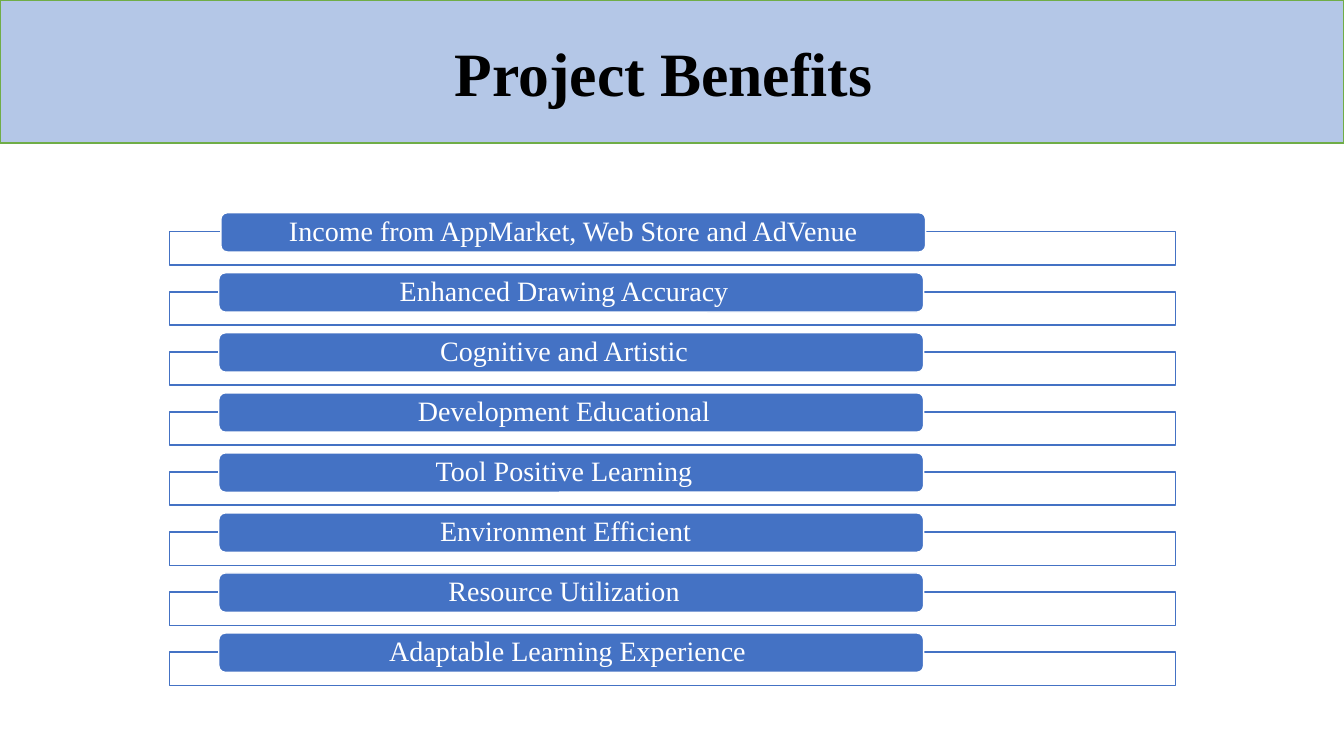
from dataclasses import dataclass

from lxml.etree import SubElement
from pptx import Presentation
from pptx.dml.color import RGBColor
from pptx.enum.shapes import MSO_SHAPE as Preset
from pptx.enum.text import MSO_ANCHOR as Anchor, PP_ALIGN as Align
from pptx.oxml.ns import qn
from pptx.util import Inches, Pt


@dataclass(frozen=True)
class Theme:
    """Colours, font and type sizes of the slide."""
    banner: RGBColor = RGBColor.from_string("B4C7E7")
    banner_line: RGBColor = RGBColor.from_string("70AD47")
    accent: RGBColor = RGBColor.from_string("4472C4")
    white: RGBColor = RGBColor.from_string("FFFFFF")
    black: RGBColor = RGBColor.from_string("000000")
    font: str = "Times New Roman"
    title_size: int = 44
    label_size: int = 20


class BenefitsSlide:
    """Draws the banner, frames and labelled bars on one slide."""

    def __init__(self, slide, theme):
        """Keep the slide and its theme."""
        self.slide = slide
        self.theme = theme

    def box(self, preset, place, fill, line):
        """Add a filled, outlined shape without shadow."""
        shape = self.slide.shapes.add_shape(preset, *map(Inches, place))
        shape.shadow.inherit = False
        shape.fill.solid()
        shape.fill.fore_color.rgb = fill
        shape.line.color.rgb = line
        shape.line.width = Pt(1)
        return shape

    def label(self, shape, text, size, color, insets, bold=False, spacing=1.0):
        """Set one centred line with the given left and right insets."""
        frame = shape.text_frame
        left, right = insets
        frame_format = {
            "word_wrap": True, "vertical_anchor": Anchor.MIDDLE,
            "margin_left": Inches(left), "margin_right": Inches(right),
            "margin_top": 0, "margin_bottom": 0,
        }
        for name, value in frame_format.items():
            setattr(frame, name, value)
        paragraph = frame.paragraphs[0]
        paragraph.alignment = Align.CENTER
        paragraph.line_spacing = spacing
        run = paragraph.add_run()
        run.text = text
        run_format = {"name": self.theme.font, "size": Pt(size), "bold": bold}
        for name, value in run_format.items():
            setattr(run.font, name, value)
        run.font.color.rgb = color

    def banner(self, text):
        """Add the title banner across the top."""
        theme = self.theme
        shape = self.box(Preset.RECTANGLE, (0, 0, 13.33, 1.42),
                         theme.banner, theme.banner_line)
        self.label(shape, text, theme.title_size, theme.black, (0.1, 0.26), bold=True)

    def frame(self, top):
        """Add the outlined, slightly transparent frame behind a bar."""
        theme = self.theme
        shape = self.box(Preset.RECTANGLE, (1.68, top, 9.98, 0.33),
                         theme.white, theme.accent)
        color = shape.element.spPr.find(qn("a:solidFill"))[0]
        SubElement(color, qn("a:alpha"), val="90000")

    def bar(self, left, top, text, extra_inset):
        """Add a rounded bar with its label."""
        theme = self.theme
        shape = self.box(Preset.ROUNDED_RECTANGLE, (left, top, 6.99, 0.39),
                         theme.accent, theme.white)
        self.label(shape, text, theme.label_size, theme.white,
                   (0.28, 0.28 + extra_inset), spacing=0.9)


BENEFITS = [
    ("Income from AppMarket, Web Store and AdVenue", 0),
    ("Enhanced Drawing Accuracy", 0.14),
    ("Cognitive and Artistic", 0.14),
    ("Development Educational", 0.14),
    ("Tool Positive Learning", 0.14),
    ("Environment Efficient", 0.11),
    ("Resource Utilization", 0.14),
    ("Adaptable Learning Experience", 0.07),
]
FIRST_TOP, LAST_TOP = 2.3, 6.47
BAR_RISE = 0.19


def main():
    """Build and save the slide."""
    presentation = Presentation()
    presentation.slide_width = Inches(13.33)
    presentation.slide_height = Inches(7.5)
    slide = presentation.slides.add_slide(presentation.slide_layouts[6])
    benefits_slide = BenefitsSlide(slide, Theme())
    benefits_slide.banner("Project Benefits")
    pitch = (LAST_TOP - FIRST_TOP) / (len(BENEFITS) - 1)
    for index, (label, extra_inset) in enumerate(BENEFITS):
        top = FIRST_TOP + index * pitch
        left = 2.17 if index else 2.19
        benefits_slide.frame(top)
        benefits_slide.bar(left, top - BAR_RISE, label, extra_inset)
    presentation.save("out.pptx")


if __name__ == "__main__":
    main()
